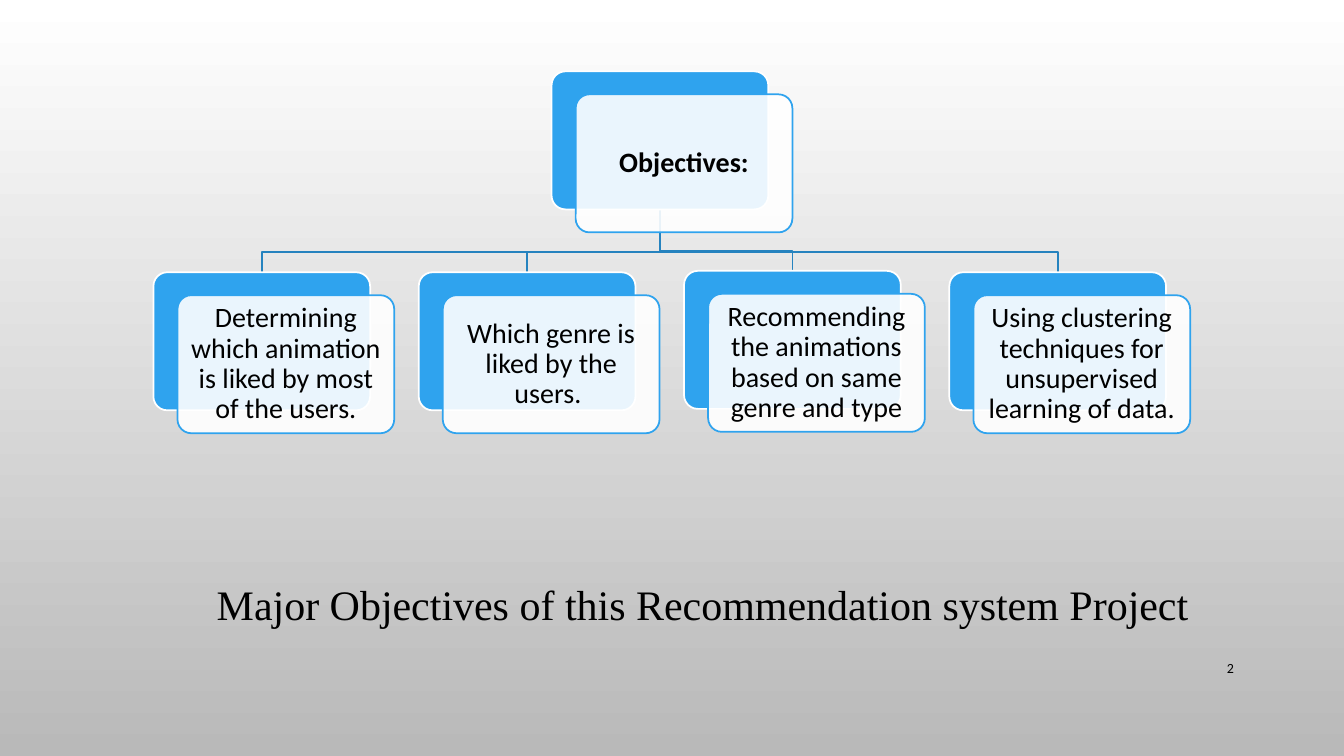
"""Build a slide with a tree of project objectives above its title."""
from dataclasses import dataclass

from lxml import etree
from pptx import Presentation
from pptx import util as u
from pptx.dml.color import RGBColor
from pptx.enum import shapes, text
from pptx.oxml.ns import qn

BLACK = RGBColor(0x00, 0x00, 0x00)
WHITE = RGBColor(0xFF, 0xFF, 0xFF)
GREY = RGBColor(0xB9, 0xB9, 0xB9)
BLUE = RGBColor(0x2F, 0xA3, 0xEE)
DARK_BLUE = RGBColor(0x26, 0x83, 0xBF)

CARD_WIDTH, CARD_HEIGHT = 154.8, 98.6
SHIFT_X, SHIFT_Y = 17.2, 16.4
INSET = 5
LINE_WIDTH = 1.25
BEND_GAP = 14.4
FIRST_LEFT, PITCH = 109.6, 189.5


@dataclass(frozen=True)
class Card:
    wording: str
    left: float
    top: float
    bold: bool = False

    @property
    def middle(self) -> float:
        return self.left + CARD_WIDTH / 2


@dataclass(frozen=True)
class Label:
    wording: str
    left: float
    top: float
    width: float
    height: float
    font: str
    size: float
    align: text.PP_ALIGN
    anchor: text.MSO_ANCHOR


ROOT = Card("Objectives:", 394, 51, bold=True)
GOALS = [
    Card(wording, FIRST_LEFT + PITCH * column, top)
    for column, (wording, top) in enumerate([
        ("Determining which animation is liked by most of the users.", 194.5),
        ("Which genre is liked by the users. ", 194.5),
        ("Recommending the animations based on same genre and type", 193.5),
        ("Using clustering techniques for unsupervised learning of data.", 194.5),
    ])
]
TITLE = Label("Major Objectives of this Recommendation system Project",
              147.6, 409.7, 728, 44, "Times New Roman", 30,
              text.PP_ALIGN.LEFT, text.MSO_ANCHOR.TOP)
NUMBER = Label("2", 828, 463, 60.5, 28.8, "Calibri", 10,
               text.PP_ALIGN.RIGHT, text.MSO_ANCHOR.MIDDLE)


def apply(target, values: dict) -> None:
    for name, value in values.items():
        setattr(target, name, value)


def write(box, wording: str, font: dict, para_format: dict, frame_format: dict) -> None:
    frame = box.text_frame
    apply(frame, {"word_wrap": True, **frame_format})
    para = frame.paragraphs[0]
    apply(para, para_format)
    span = para.add_run()
    span.text = wording
    apply(span.font, font)
    span.font.color.rgb = BLACK


def draw_panel(page, left: float, top: float, fill: RGBColor, line: RGBColor):
    panel = page.shapes.add_shape(
        shapes.MSO_SHAPE.ROUNDED_RECTANGLE,
        u.Pt(left), u.Pt(top), u.Pt(CARD_WIDTH), u.Pt(CARD_HEIGHT))
    panel.adjustments[0] = 0.1
    panel.shadow.inherit = False
    panel.fill.solid()
    panel.fill.fore_color.rgb = fill
    panel.line.color.rgb = line
    panel.line.width = u.Pt(LINE_WIDTH)
    return panel


def draw_card(page, card: Card) -> None:
    draw_panel(page, card.left, card.top, BLUE, WHITE)
    front = draw_panel(page, card.left + SHIFT_X, card.top + SHIFT_Y, WHITE, BLUE)
    color = front.fill._xPr.find(qn("a:solidFill"))[0]
    etree.SubElement(color, qn("a:alpha")).set("val", "90000")
    sides = ("left", "right", "top", "bottom")
    write(front, card.wording,
          {"name": "Calibri", "size": u.Pt(20), "bold": card.bold},
          {"alignment": text.PP_ALIGN.CENTER, "line_spacing": 0.9},
          {"vertical_anchor": text.MSO_ANCHOR.MIDDLE,
           **{f"margin_{side}": u.Pt(INSET) for side in sides}})


def draw_branch(page, parent: Card, child: Card) -> None:
    bend = child.top - BEND_GAP
    points = [(parent.middle, parent.top + CARD_HEIGHT), (parent.middle, bend),
              (child.middle, bend), (child.middle, child.top)]
    start, *rest = [(u.Pt(x), u.Pt(y)) for x, y in points]
    builder = page.shapes.build_freeform(*start)
    builder.add_line_segments(rest, close=False)
    branch = builder.convert_to_shape()
    branch.shadow.inherit = False
    branch.fill.background()
    branch.line.color.rgb = DARK_BLUE
    branch.line.width = u.Pt(LINE_WIDTH)


def place_label(box, label: Label) -> None:
    apply(box, {name: u.Pt(getattr(label, name))
                for name in ("left", "top", "width", "height")})
    write(box, label.wording,
          {"name": label.font, "size": u.Pt(label.size)},
          {"alignment": label.align},
          {"vertical_anchor": label.anchor, "auto_size": text.MSO_AUTO_SIZE.NONE})


def paint_background(page) -> None:
    fill = page.background.fill
    fill.gradient()
    fill.gradient_angle = 270
    for stop, color in zip(fill.gradient_stops, (WHITE, GREY)):
        stop.color.rgb = color


def main() -> None:
    deck = Presentation()
    apply(deck, {"slide_width": u.Pt(960), "slide_height": u.Pt(540)})
    page = deck.slides.add_slide(deck.slide_layouts.get_by_name("Title Only"))
    paint_background(page)
    for goal in reversed(GOALS):
        draw_branch(page, ROOT, goal)
    for card in [ROOT, *GOALS]:
        draw_card(page, card)
    place_label(page.shapes.title, TITLE)
    place_label(page.shapes.add_textbox(0, 0, 0, 0), NUMBER)
    deck.save("out.pptx")


if __name__ == "__main__":
    main()
